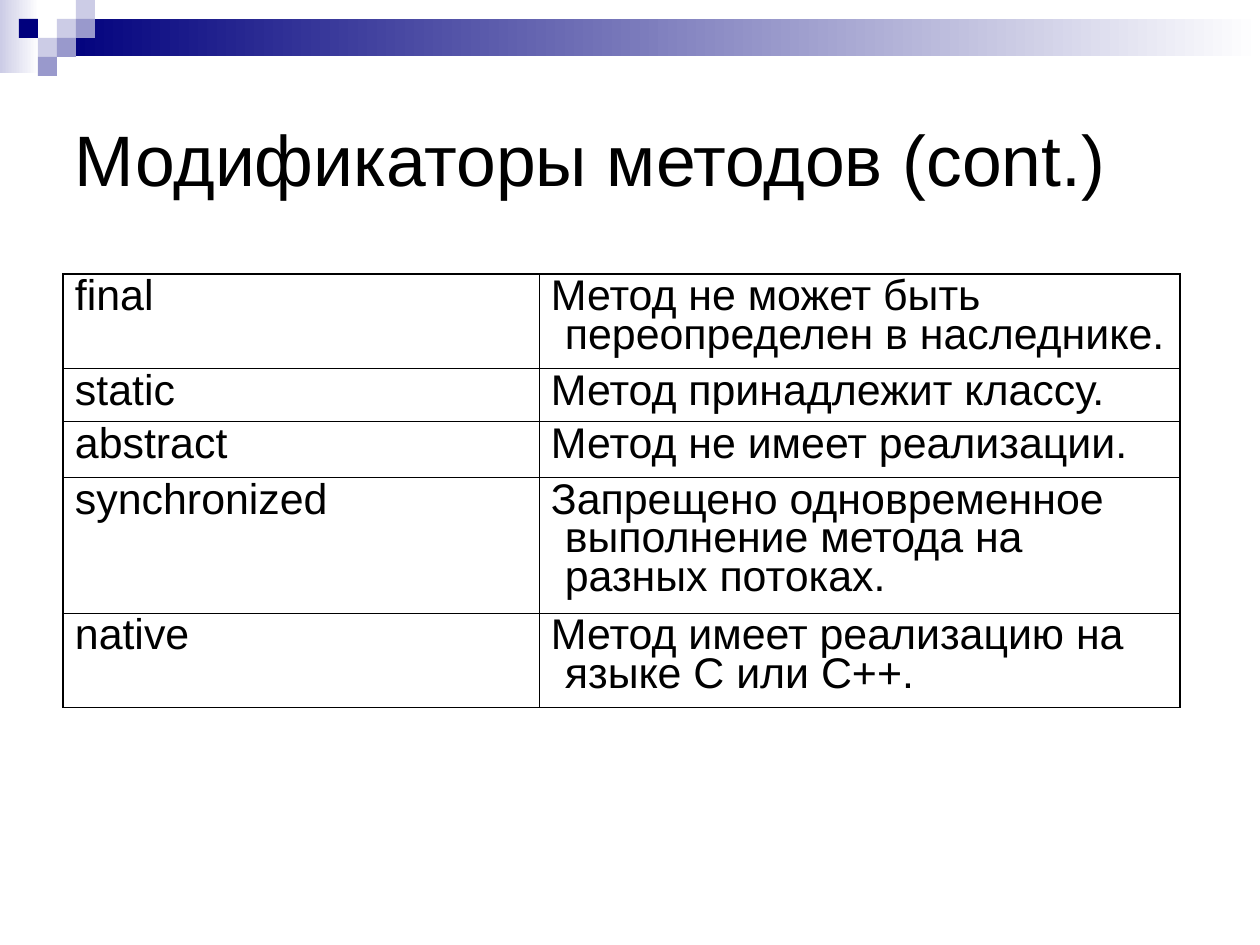
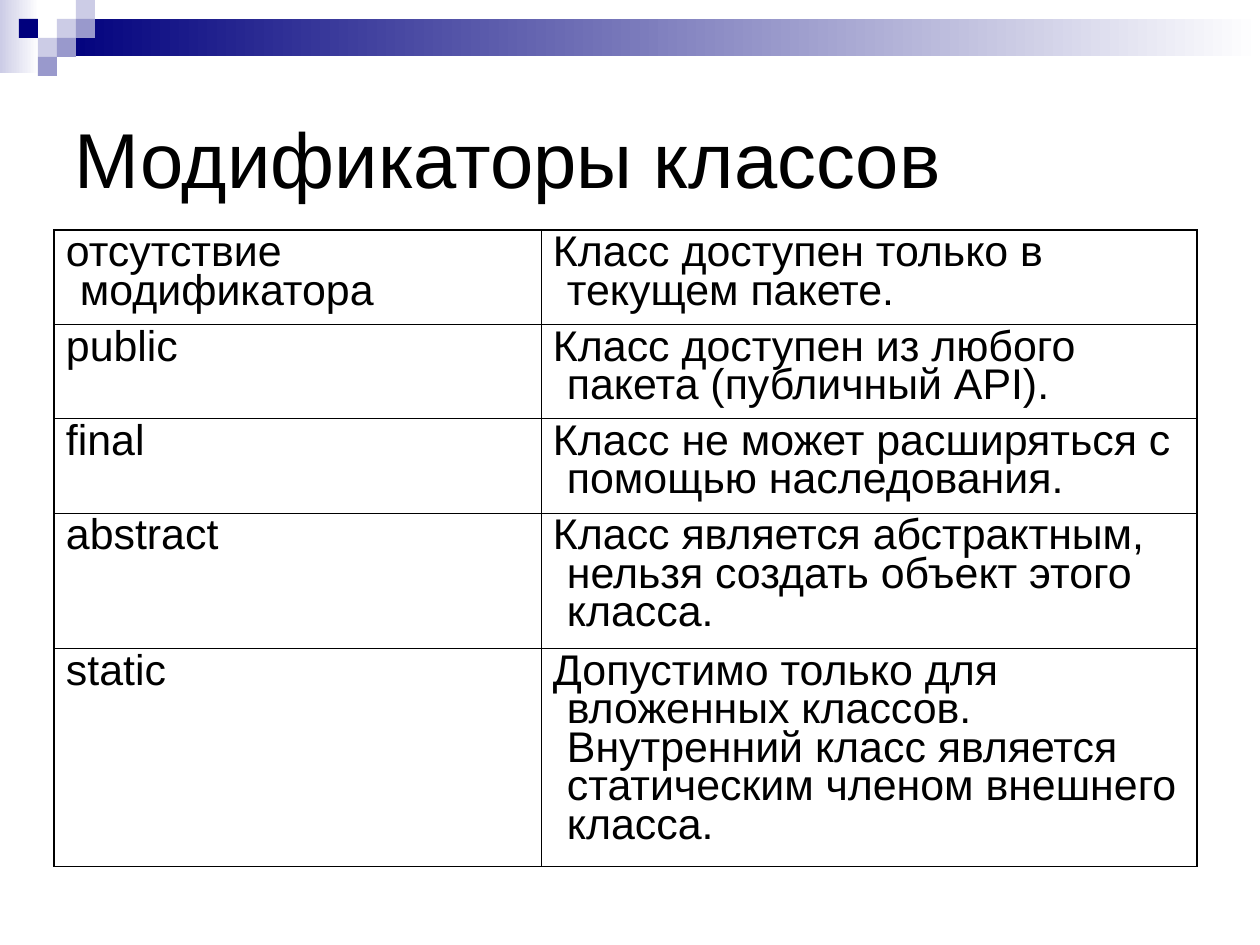
from dataclasses import dataclass

from lxml import etree
from pptx import Presentation
from pptx import util as u
from pptx.dml.color import RGBColor as Rgb
from pptx.enum import shapes, text
from pptx.oxml.ns import qn

PX = 8000  # EMU in one px


@dataclass(frozen=True)
class Theme:
    font: str = "Arial"
    ink: str = "000000"
    navy: str = "00007D"
    mid: str = "9999CC"
    pale: str = "CCCCE6"
    white: str = "FFFFFF"
    body: int = 27
    thick: float = 1.08
    thin: float = 0.45


T = Theme()

# Shared header: gradient bands, then squares as (column, row, colour)
BANDS = [((0, 0, 39, 73), T.pale), ((57, 19, 1203, 37), T.navy)]
STEP = 19
GRID = [(3, 1, T.pale), (4, 0, T.pale), (4, 1, T.mid), (2, 2, T.pale),
        (1, 1, T.navy), (3, 2, T.mid), (2, 3, T.mid)]

# Title, title size, table corner, column widths, row heights, rows
PAGES = [
    ("Модификаторы методов (cont.)", 45, (63, 274), (476, 641),
     (94, 53, 56, 135, 94), [
         ("final", "Метод не может быть переопределен в наследнике."),
         ("static", "Метод принадлежит классу."),
         ("abstract", "Метод не имеет реализации."),
         ("synchronized",
          "Запрещено одновременное выполнение метода на разных потоках."),
         ("native", "Метод имеет реализацию на языке C или С++."),
     ]),
    ("Модификаторы классов", 49, (54, 230), (487, 656),
     (94, 94, 94, 135, 217), [
         ("отсутствие модификатора",
          "Класс доступен только в текущем пакете."),
         ("public", "Класс доступен из любого пакета (публичный API)."),
         ("final", "Класс не может расширяться с помощью наследования."),
         ("abstract",
          "Класс является абстрактным, нельзя создать объект этого класса."),
         ("static",
          "Допустимо только для вложенных классов. Внутренний класс "
          "является статическим членом внешнего класса."),
     ]),
]


def block(slide, box):
    """Add a plain rectangle with no line or shadow."""
    rect = slide.shapes.add_shape(shapes.MSO_SHAPE.RECTANGLE,
                                  *(n * PX for n in box))
    rect.shadow.inherit = False
    rect.line.fill.background()
    return rect


def write(frame, words, size):
    """Put one paragraph in the theme font into a frame or cell."""
    frame.margin_left = frame.margin_right = 12 * PX
    frame.margin_top = frame.margin_bottom = 6 * PX
    para = frame.paragraphs[0] if hasattr(frame, "paragraphs") \
        else frame.text_frame.paragraphs[0]
    para.text = words
    para.font.name = T.font
    para.font.size = u.Pt(size)
    para.font.color.rgb = Rgb.from_string(T.ink)
    return para


deck = Presentation()
deck.slide_width, deck.slide_height = 1260 * PX, 945 * PX

for title, size, corner, cols, rows, data in PAGES:
    slide = deck.slides.add_slide(deck.slide_layouts[6])

    # Header bands and squares
    for box, hue in BANDS:
        fill = block(slide, box).fill
        fill.gradient()
        fill.gradient_angle = 0
        for stop, tone in zip(fill.gradient_stops, (hue, T.white)):
            stop.color.rgb = Rgb.from_string(tone)
    for col, row, hue in GRID:
        fill = block(slide, (col * STEP, row * STEP, STEP, STEP)).fill
        fill.solid()
        fill.fore_color.rgb = Rgb.from_string(hue)

    # Title
    frame = slide.shapes.add_textbox(
        63 * PX, 63 * PX, 1134 * PX, 189 * PX).text_frame
    frame.word_wrap = True
    frame.vertical_anchor = text.MSO_ANCHOR.MIDDLE
    write(frame, title, size)

    # Table
    left, top = corner
    table = slide.shapes.add_table(
        len(rows), len(cols), left * PX, top * PX,
        sum(cols) * PX, sum(rows) * PX).table
    table.first_row = table.horz_banding = False
    for col, width in zip(table.columns, cols):
        col.width = width * PX
    for row, height in zip(table.rows, rows):
        row.height = height * PX

    for r, pair in enumerate(data):
        for c, words in enumerate(pair):
            cell = table.cell(r, c)
            para = write(cell, words, T.body)
            para.line_spacing = 0.8
            para.space_before = u.Pt(6.8)
            # Hanging indent
            prop = para._p.get_or_add_pPr()
            prop.set("marL", str(14 * PX))
            prop.set("indent", str(-14 * PX))
            # Borders: thick outside, thin inside
            edges = {"L": c == 0, "R": c == len(cols) - 1,
                     "T": r == 0, "B": r == len(rows) - 1}
            prop = cell._tc.get_or_add_tcPr()
            for side, outer in edges.items():
                line = etree.SubElement(prop, qn("a:ln" + side))
                line.set("w", str(u.Pt(T.thick if outer else T.thin)))
                paint = etree.SubElement(line, qn("a:solidFill"))
                etree.SubElement(paint, qn("a:srgbClr")).set("val", T.ink)
            cell.fill.background()

deck.save("out.pptx")
